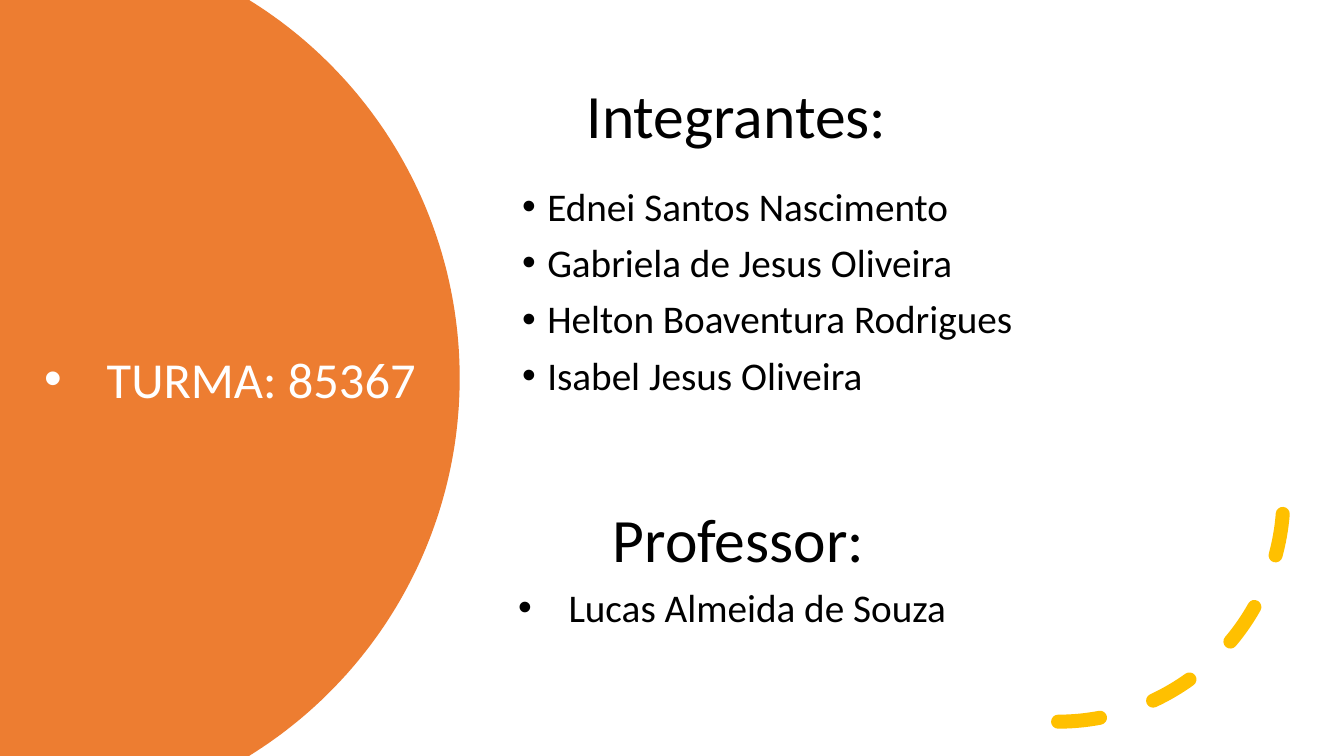
"""Build the slide that introduces the team, the class and the teacher."""
from math import asin, cos, sin

from lxml.etree import SubElement
from pptx import Presentation
from pptx.dml.color import RGBColor
from pptx.enum.dml import MSO_LINE
from pptx.enum.shapes import MSO_SHAPE as Shape
from pptx.enum.text import MSO_ANCHOR as Anchor, MSO_AUTO_SIZE as AutoSize
from pptx.oxml.ns import qn
from pptx.util import Inches, Pt

ORANGE = RGBColor(0xED, 0x7D, 0x31)
YELLOW = RGBColor(0xFF, 0xC0, 0x00)
BLACK = RGBColor(0x00, 0x00, 0x00)
WHITE = RGBColor(0xFF, 0xFF, 0xFF)
FONT = "Calibri"

WIDTH, HEIGHT = 13.33, 7.5
DISC_CENTER, DISC_RADIUS, DISC_STEPS = 0.15, 4.41, 120
ARC_LEFT, ARC_TOP, ARC_SIZE = 8.26, 2.69, 4.47

MEMBERS = [
    "Ednei Santos Nascimento",
    "Gabriela de Jesus Oliveira",
    "Helton Boaventura Rodrigues",
    "Isabel Jesus Oliveira",
]
TEXTS = [
    (["Integrantes:"], (5.72, 0.7, 3.5, 0.95),
     dict(size=44, anchor=Anchor.MIDDLE, spacing=0.9)),
    (MEMBERS, (5.08, 1.65, 5.4, 2.51),
     dict(size=28, anchor=Anchor.MIDDLE, spacing=0.9, before=10, indent=0.25)),
    (["Professor:"], (5.98, 4.92, 2.97, 0.84), dict(size=44, grow=True)),
    (["Lucas Almeida de Souza"], (5.04, 5.74, 4.45, 1.04),
     dict(size=28, indent=0.5, grow=True)),
    (["TURMA: 85367"], (0.34, 3.4, 3.89, 0.71),
     dict(size=36, color=WHITE, indent=0.62, grow=True)),
]


def add_text(page, lines, place, size, color=BLACK, anchor=Anchor.TOP,
             spacing=1.0, before=0, indent=0, grow=False):
    box = page.shapes.add_textbox(*map(Inches, place))
    frame = box.text_frame
    frame.word_wrap = True
    frame.vertical_anchor = anchor
    frame.auto_size = AutoSize.SHAPE_TO_FIT_TEXT if grow else AutoSize.NONE
    frame.text = "\n".join(lines)
    for para in frame.paragraphs:
        para.line_spacing = spacing
        para.space_before = Pt(before)
        font = para.runs[0].font
        font.name, font.size, font.color.rgb = FONT, Pt(size), color
        if indent:
            props = para._p.get_or_add_pPr()
            props.set("marL", str(Inches(indent)))
            props.set("indent", str(-Inches(indent)))
            SubElement(props, qn("a:buFont")).set("typeface", "Arial")
            SubElement(props, qn("a:buChar")).set("char", "•")


def add_disc(page):
    middle = HEIGHT / 2
    reach = asin(middle / DISC_RADIUS)
    angles = [reach * (2 * step / DISC_STEPS - 1) for step in range(DISC_STEPS + 1)]
    rim = [(Inches(DISC_CENTER + DISC_RADIUS * cos(angle)),
            Inches(middle + DISC_RADIUS * sin(angle))) for angle in angles]
    builder = page.shapes.build_freeform(0, 0)
    builder.add_line_segments(rim + [(0, Inches(HEIGHT))], close=True)
    disc = builder.convert_to_shape()
    disc.shadow.inherit = False
    disc.fill.solid()
    disc.fill.fore_color.rgb = ORANGE
    disc.line.fill.background()


def add_dashed_arc(page):
    arc = page.shapes.add_shape(
        Shape.ARC, *map(Inches, (ARC_LEFT, ARC_TOP, ARC_SIZE, ARC_SIZE)))
    arc.shadow.inherit = False
    arc.fill.background()
    arc.line.color.rgb = YELLOW
    arc.line.width = Pt(10)
    arc.line.dash_style = MSO_LINE.DASH
    arc.line._get_or_add_ln().set("cap", "rnd")
    arc._element.spPr.find(qn("a:xfrm")).set("flipV", "1")


def main():
    deck = Presentation()
    deck.slide_width, deck.slide_height = Inches(WIDTH), Inches(HEIGHT)
    page = deck.slides.add_slide(deck.slide_layouts[6])
    add_disc(page)
    add_dashed_arc(page)
    for lines, place, style in TEXTS:
        add_text(page, lines, place, **style)
    deck.save("out.pptx")


if __name__ == "__main__":
    main()
